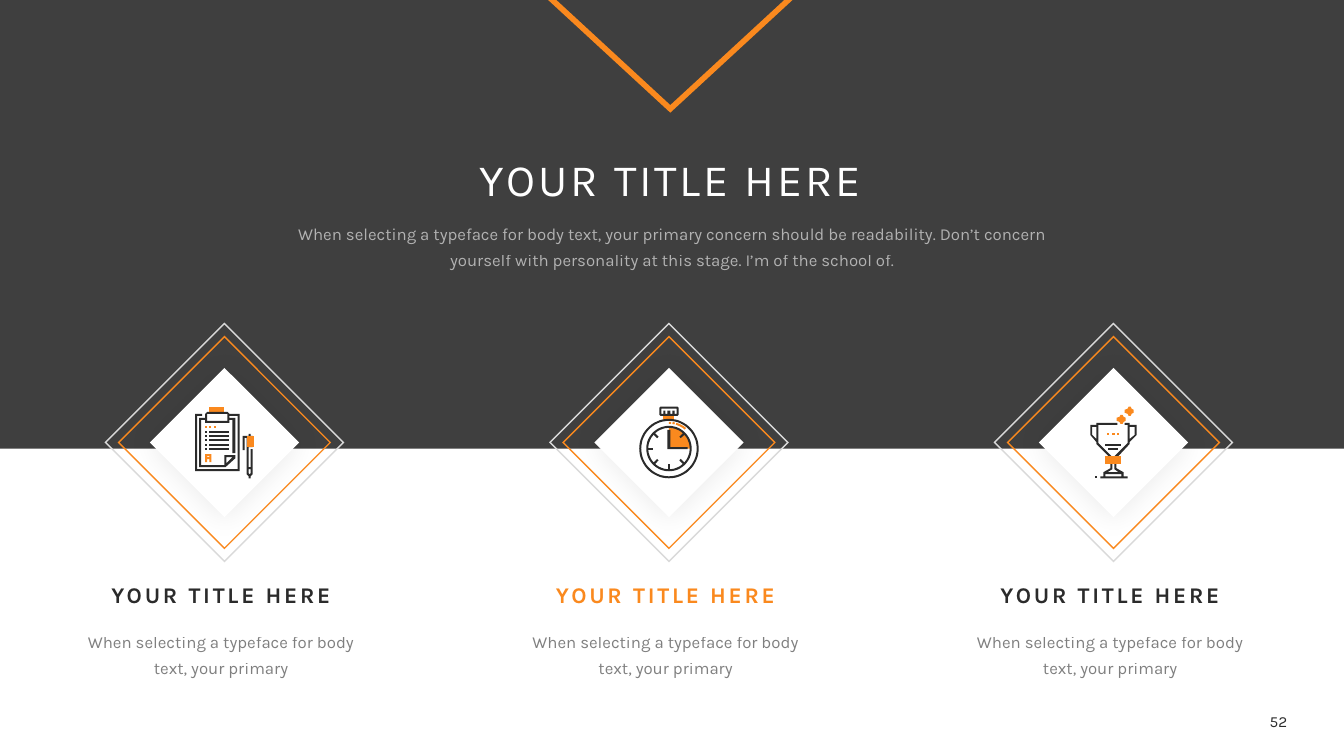
from math import cos, radians, sin

from lxml import etree
from pptx import Presentation
from pptx.dml.color import RGBColor
from pptx.enum.shapes import MSO_SHAPE
from pptx.enum.text import MSO_ANCHOR, MSO_AUTO_SIZE, PP_ALIGN
from pptx.oxml.ns import qn
from pptx.util import Pt

RECTANGLE, DIAMOND = MSO_SHAPE.RECTANGLE, MSO_SHAPE.DIAMOND
TOP, MIDDLE = MSO_ANCHOR.TOP, MSO_ANCHOR.MIDDLE
CENTER, NO_AUTOFIT = PP_ALIGN.CENTER, MSO_AUTO_SIZE.NONE

INK, ORANGE, WHITE, SILVER = "2B2B2B", "FA891E", "FFFFFF", "D9D9D9"
COLUMNS, ROWS = 40, 22.5  # grid of square cells
CELL = 304800  # one third of an inch
ICON_UNIT = 0.03  # cells per icon unit
ICON_STEPS = 10  # freeform steps per icon unit


def paint(fill, color, alpha=None):
    fill.solid()
    fill.fore_color.rgb = RGBColor.from_string(color)
    if alpha is not None:
        clr = fill._xPr.find(qn("a:solidFill"))[0]
        etree.SubElement(clr, qn("a:alpha")).set("val", str(alpha * 1000))


# Icon outlines: a piece is a list of contours, in icon units from its top left
def box(x, y, w, h):
    return [[(x, y), (x + w, y), (x + w, y + h), (x, y + h)]]


def boxes(xs, y, size=2):
    return [box(x, y, size, size) for x in xs]


def arc(center, radius, start, end):
    steps = max(4, abs(end - start) // 6)
    angles = [radians(start + (end - start) * i / steps) for i in range(steps + 1)]
    return [(center[0] + radius * cos(a), center[1] + radius * sin(a)) for a in angles]


def ring(center, outer, inner, start=0, end=360):
    if end - start == 360:
        return [arc(center, outer, 0, 360), arc(center, inner, 360, 0)]
    return [arc(center, outer, start, end) + arc(center, inner, end, start)]


def tick(center, angle, inner, outer):
    c, s = cos(radians(angle)), sin(radians(angle))
    corners = [(inner, -1), (outer, -1), (outer, 1), (inner, 1)]
    return [[(center[0] + r * c - t * s, center[1] + r * s + t * c) for r, t in corners]]


def spark(x, y):
    star = [(6, 0), (4, 0), (3, 2), (0, 3), (0, 6), (3, 7),
            (4, 9), (6, 9), (7, 7), (9, 6), (9, 3), (7, 2)]
    return [[(x + dx, y + dy) for dx, dy in star]]


def clipboard():
    badge = [[(10, 47), (10, 55), (12, 55), (12, 52), (14, 52), (14, 55), (16, 55), (16, 47)],
             [(12, 50), (12, 49), (14, 49), (14, 50)]]
    board = [[(34, 7), (32, 5), (12, 5), (10, 7), (10, 11), (4, 11), (4, 60), (30, 60),
              (40, 51), (40, 48), (29, 48), (29, 58), (6, 58), (6, 13), (10, 13), (10, 16),
              (34, 16), (34, 13), (37, 13), (37, 46), (40, 46), (40, 11), (34, 11), (34, 9),
              (42, 9), (42, 62), (2, 62), (2, 9), (7, 9), (7, 7), (0, 7), (0, 64),
              (44, 64), (44, 7)],
             [(31, 50), (37, 50), (31, 56)],
             [(32, 14), (12, 14), (12, 7), (32, 7)]]
    pen = [[(53, 40), (57, 40), (57, 29), (55, 29), (55, 27), (53, 27), (53, 29), (47, 29),
            (47, 43), (49, 43), (49, 31), (51, 31), (51, 67), (53, 69), (53, 71), (55, 71),
            (55, 69), (57, 67), (57, 42), (55, 42), (55, 60), (53, 60)],
           [(55, 31), (55, 38), (53, 38), (53, 31)],
           [(55, 62), (55, 66), (54, 67), (53, 66), (53, 62)]]
    rows = [24 + 4.25 * i for i in range(5)]
    lines = [box(x, y, w, 2) for y in rows for x, w in ((14, 20), (10, 2))]
    return [(ORANGE, [badge, box(14, 0, 15, 5.5)] + boxes((10, 14, 19), 19)),
            (INK, lines + [board, pen]),
            (ORANGE, [box(51, 29, 7, 11)])]


def stopwatch():
    hub = (29.5, 41.5)
    crown = [[(38, 0), (21, 0), (20, 1), (20, 8), (21, 9), (38, 9), (39, 8), (39, 1)],
             [(37, 7), (35, 7), (35, 4), (33, 4), (33, 7), (31, 7), (31, 4), (28, 4), (28, 7),
              (26, 7), (26, 4), (24, 4), (24, 7), (22, 7), (22, 2), (37, 2)]]
    hands = [[(48, 40), (31, 40), (31, 23), (28, 23), (28, 42), (48, 42)]]
    wedge = [[hub] + arc(hub, 21.5, -90, 0)]
    glints = [ring(hub, 26.5, 24.5, a, b) for a, b in ((-90, -85), (-82, -77), (-74, -50))]
    ticks = [tick(hub, a, 15.5, 21) for a in (45, 90, 135, 180, 225, 315)]
    return [(ORANGE, [wedge, box(24, 7, 11, 7)] + glints),
            (INK, [crown, ring(hub, 29.5, 27.5), ring(hub, 22.5, 20.5), hands] + ticks)]


def trophy():
    foot = [[(33, 69), (33, 65), (26, 61), (26, 56), (24, 56), (24, 62), (28, 65), (17, 65),
             (22, 62), (22, 56), (20, 56), (20, 61), (13, 65), (13, 69), (10, 69), (10, 71),
             (37, 71), (37, 69)],
            [(15, 67), (31, 67), (31, 69), (15, 69)]]
    left = [[(8, 18), (27, 18), (27, 16), (6, 16), (6, 18), (0, 18), (0, 28), (6, 35),
             (6, 37), (20, 51), (21, 49), (8, 36)],
            [(2, 28), (2, 20), (6, 20), (6, 32)]]
    right = [[(46, 18), (39, 18), (39, 16), (34, 16), (34, 18), (37, 18), (37, 36), (24, 49),
              (26, 51), (39, 37), (39, 35), (46, 28)],
             [(44, 28), (39, 32), (39, 20), (44, 20)]]
    return [(INK, [foot, left, right, box(5, 69, 2, 2), box(15, 37, 16, 2), box(18, 41, 9, 2)]),
            (ORANGE, boxes((17, 22, 26), 26)
             + [box(15, 49, 15, 8), spark(26, 8), spark(34, 0)])]


class Page:
    """Holds the font and the slide; lengths are grid columns and rows."""

    font = "Karla"

    def __init__(self, deck):
        self.slide = deck.slides.add_slide(deck.slide_layouts[0])
        self.shapes = self.slide.shapes

    def cells(self, *lengths):
        return [round(length * CELL) for length in lengths]

    def shape(self, kind, x, y, w, h, fill=None, alpha=None, line=None, width=1):
        shape = self.shapes.add_shape(kind, *self.cells(x, y, w, h))
        shape.shadow.inherit = False
        if fill:
            paint(shape.fill, fill, alpha)
        else:
            shape.fill.background()
        if line:
            paint(shape.line.fill, line)
            shape.line.width = Pt(width)
            etree.SubElement(shape.line._ln, qn("a:miter")).set("lim", "800000")
        else:
            shape.line.fill.background()
        return shape

    def diamond(self, cx, cy, size, **style):
        return self.shape(DIAMOND, cx - size / 2, cy - size / 2, size, size, **style)

    def soft_shadow(self, shape):
        effects = shape._element.spPr.find(qn("a:effectLst"))
        shadow = etree.SubElement(effects, qn("a:outerShdw"), blurRad=str(Pt(20)),
                                  dist=str(Pt(2)), dir="5400000", algn="t", rotWithShape="0")
        black = etree.SubElement(shadow, qn("a:srgbClr"), val="000000")
        etree.SubElement(black, qn("a:alpha"), val="8000")

    def text(self, words, x, y, w, h, size, color, alpha=None, bold=False,
             tracking=0, leading=1.0, anchor=TOP, holder=None):
        if holder is None:
            holder = self.shapes.add_textbox(0, 0, 0, 0)
        else:
            self.shapes._spTree.append(holder._element)  # bring above the band
        holder.left, holder.top, holder.width, holder.height = self.cells(x, y, w, h)
        frame = holder.text_frame
        frame.word_wrap, frame.auto_size, frame.vertical_anchor = True, NO_AUTOFIT, anchor
        paragraph = frame.paragraphs[0]
        paragraph.text = words
        paragraph.alignment, paragraph.line_spacing = CENTER, leading
        paragraph.space_before = Pt(0)
        font = paragraph.font
        font.name, font.size, font.bold = self.font, Pt(size), bold
        paint(font.fill, color, alpha)
        if tracking:
            font._element.set("spc", str(tracking * 100))

    def icon(self, layers, cx, cy, width, height=71):
        origin = self.cells(cx - width * ICON_UNIT / 2, cy - height * ICON_UNIT / 2)
        group = self.shapes.add_group_shape()
        for color, pieces in layers:
            for piece in pieces:
                contours = [[(x * ICON_STEPS, y * ICON_STEPS) for x, y in c] for c in piece]
                pencil = group.shapes.build_freeform(
                    *contours[0][0], scale=CELL * ICON_UNIT / ICON_STEPS)
                pencil.add_line_segments(contours[0][1:], close=True)
                for hole in contours[1:]:
                    pencil.move_to(*hole[0])
                    pencil.add_line_segments(hole[1:], close=True)
                outline = pencil.convert_to_shape(*origin)
                outline.shadow.inherit = False
                paint(outline.fill, color)
                outline.line.fill.background()


def main():
    deck = Presentation()
    deck.slide_width, deck.slide_height = COLUMNS * CELL, round(ROWS * CELL)
    page = Page(deck)

    # Dark band with the hanging chevron
    page.shape(RECTANGLE, 0, 0, COLUMNS, 13.35, fill=INK, alpha=90)
    page.shape(DIAMOND, 12.27, -10.92, 15.36, 14.16, line=ORANGE, width=4)

    # Heading
    title, intro = page.slide.placeholders
    page.text("YOUR TITLE HERE", 11.64, 4.35, 16.65, 1.92, 32, WHITE, tracking=2, holder=title)
    page.text("When selecting a typeface for body text, your primary concern should be "
              "readability. Don’t concern yourself with personality at this stage. "
              "I’m of the school of.",
              8.07, 6.33, 23.88, 1.89, 12, WHITE, alpha=60, leading=1.3, holder=intro)

    # Three medallions with captions
    features = [(clipboard(), 58, INK), (stopwatch(), 59, ORANGE), (trophy(), 46, INK)]
    cy, caption_width = 13.17, 8.52
    for i, (layers, icon_width, caption_color) in enumerate(features):
        cx = 6.68 + 13.23 * i
        page.diamond(cx, cy, 6.3, line=ORANGE)
        page.diamond(cx, cy, 7.08, line=SILVER)
        page.soft_shadow(page.diamond(cx, cy, 4.44, fill=WHITE))
        page.icon(layers, cx, cy, icon_width)
        left = cx - 0.1 - caption_width / 2
        page.text("YOUR TITLE HERE", left, 17.25, caption_width, 1.23, 16, caption_color,
                  bold=True, tracking=2, leading=0.9)
        page.text("When selecting a typeface for body text, your primary",
                  left, 18.48, caption_width, 1.89, 12, INK, alpha=60, leading=1.3)

    # Page number
    page.text("52", 37.35, 21.15, 1.41, 0.63, 11, INK, anchor=MIDDLE)
    deck.save("out.pptx")


if __name__ == "__main__":
    main()
